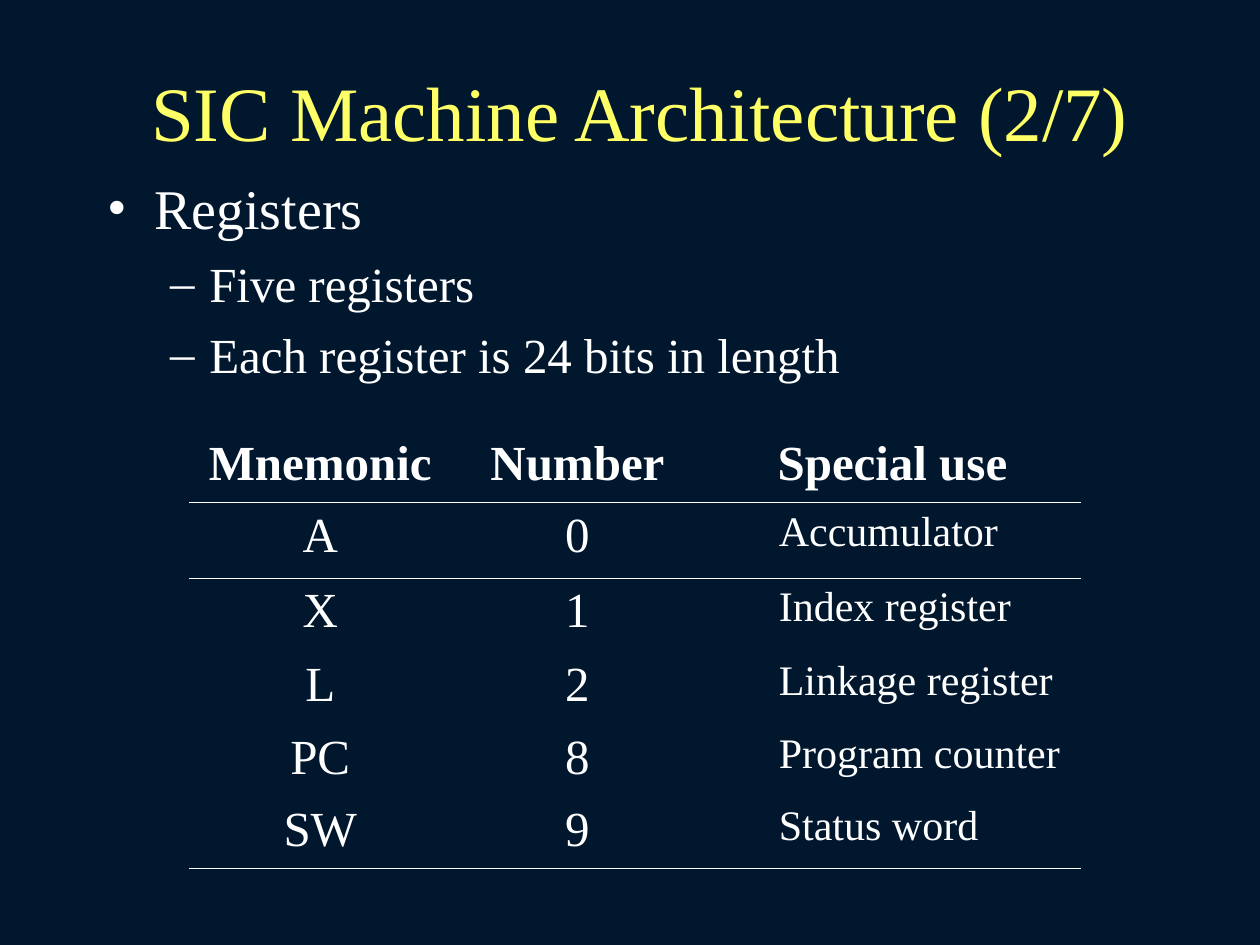
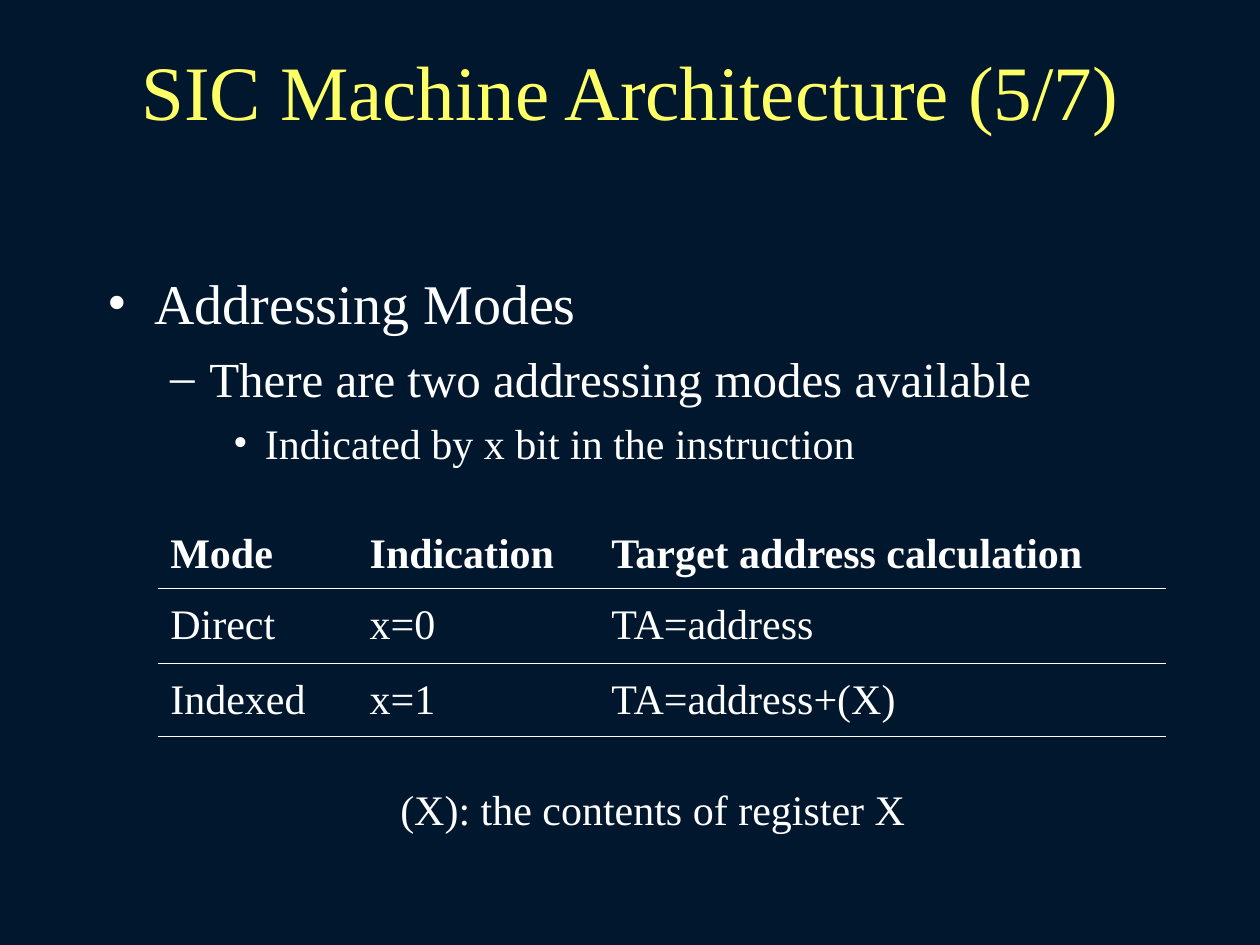
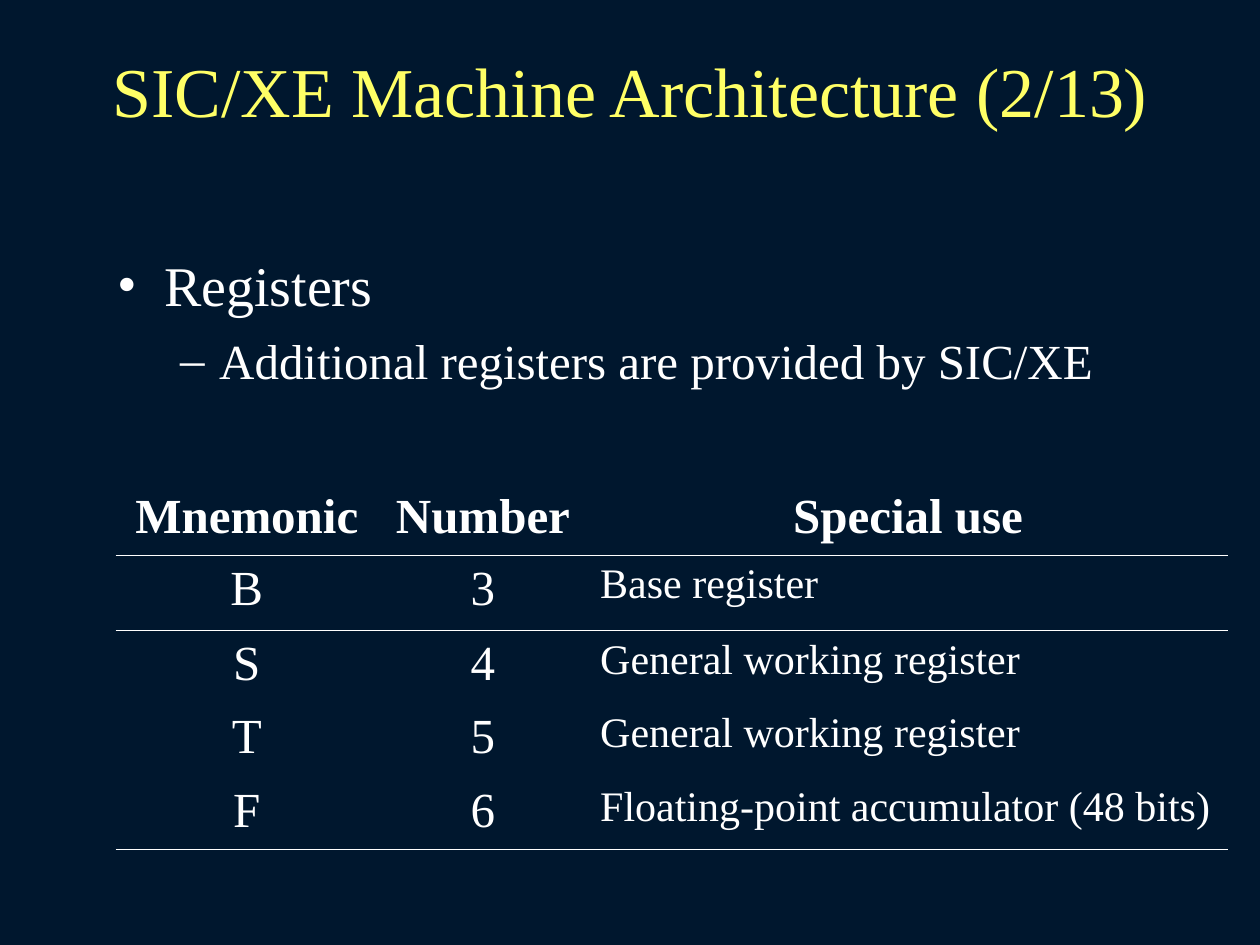
import pptx
import pptx.dml.color
import pptx.enum.text
import pptx.oxml
import pptx.oxml.ns
import pptx.util
from lxml import etree

Cm = pptx.util.Cm
Pt = pptx.util.Pt
ALIGN = pptx.enum.text.PP_ALIGN
ANCHOR = pptx.enum.text.MSO_ANCHOR
qn = pptx.oxml.ns.qn

NAVY, YELLOW, WHITE = "00172E", "FFFF66", "FFFFFF"
FONT = "Times New Roman"
PLAIN_TABLE_STYLE = "{2D5ABB26-0587-4C30-8999-92F81FD0307C}"
RULE_WIDTH = Pt(0.45)

# Per outline level: bullet, text size, space before, left margin, hanging indent
LEVELS = [
    ("•", 32, 8, Cm(0.95), Cm(0.95)),
    ("–", 28, 7, Cm(2.06), Cm(0.79)),
    ("•", 24, 6, Cm(3.18), Cm(0.64)),
]

REGISTER_HEADINGS = ["Mnemonic", "Number", "Special use"]
SLIDES = [
    {
        "title": "SIC Machine Architecture (2/7)",
        "title_size": 44,
        "title_place": (2.11, 0.64, 21.59, 3.18),
        "outline_place": (1.91, 3.38, 21.59, 4.88),
        "outline": [(0, "Registers"), (1, "Five registers"),
                    (1, "Each register is 24 bits in length")],
        "table_corner": (3.81, 8.68),
        "columns": [5.29, 5.08, 7.62],
        "row_heights": [1.45, 1.52, 1.48, 1.48, 1.45, 1.45],
        "rows": [REGISTER_HEADINGS,
                 ["A", "0", "Accumulator"],
                 ["X", "1", "Index register"],
                 ["L", "2", "Linkage register"],
                 ["PC", "8", "Program counter"],
                 ["SW", "9", "Status word"]],
        "use_margin": 1.52,
    },
    {
        "title": "SIC Machine Architecture (5/7)",
        "title_size": 44,
        "title_place": (1.91, 0.64, 21.59, 2.33),
        "outline_place": (1.91, 5.29, 21.59, 4.66),
        "outline": [(0, "Addressing Modes"),
                    (1, "There are two addressing modes available"),
                    (2, "Indicated by x bit in the instruction")],
        "table_corner": (3.18, 10.58),
        "columns": [4.02, 4.87, 11.43],
        "row_heights": [1.27, 1.52, 1.48],
        "rows": [["Mode", "Indication", "Target address calculation"],
                 ["Direct", "x=0", "TA=address"],
                 ["Indexed", "x=1", "TA=address+(X)"]],
        "note": "(X): the contents of register X",
    },
    {
        "title": "SIC/XE Machine Architecture (2/13)",
        "title_size": 40,
        "title_place": (1.91, 0.64, 21.59, 2.33),
        "outline_place": (2.11, 4.93, 21.59, 3.39),
        "outline": [(0, "Registers"),
                    (1, "Additional registers are provided by SIC/XE")],
        "table_corner": (2.33, 9.74),
        "columns": [5.29, 4.23, 12.91],
        "row_heights": [1.45, 1.52, 1.48, 1.48, 1.45],
        "rows": [REGISTER_HEADINGS,
                 ["B", "3", "Base register"],
                 ["S", "4", "General working register"],
                 ["T", "5", "General working register"],
                 ["F", "6", "Floating-point accumulator (48 bits)"]],
        "use_margin": 0.25,
    },
]


def add_span(paragraph, text, color=WHITE, **formats):
    span = paragraph.add_run()
    span.text = text
    span.font.color.rgb = pptx.dml.color.RGBColor.from_string(color)
    for name, value in {"name": FONT, "bold": False, **formats}.items():
        setattr(span.font, name, value)


def add_rule(cell, edge):
    """Draw a thin white line on one edge of a cell: lnT or lnB."""
    line = etree.Element(qn(f"a:{edge}"), w=str(RULE_WIDTH))
    fill = etree.SubElement(line, qn("a:solidFill"))
    etree.SubElement(fill, qn("a:srgbClr"), val=WHITE)
    cell._tc.get_or_add_tcPr().insert(0, line)


deck = pptx.Presentation()
deck.slide_width, deck.slide_height = Cm(25.4), Cm(19.05)
backdrop = deck.slide_master.background.fill
backdrop.solid()
backdrop.fore_color.rgb = pptx.dml.color.RGBColor.from_string(NAVY)

for content in SLIDES:
    slide = deck.slides.add_slide(deck.slide_layouts[5])

    title = slide.shapes.title
    title.left, title.top, title.width, title.height = map(Cm, content["title_place"])
    title.text_frame.vertical_anchor = ANCHOR.MIDDLE
    heading = title.text_frame.paragraphs[0]
    heading.alignment = ALIGN.CENTER
    add_span(heading, content["title"], YELLOW, size=Pt(content["title_size"]))

    outline = slide.shapes.add_textbox(*map(Cm, content["outline_place"])).text_frame
    outline.word_wrap = True
    for index, (level, text) in enumerate(content["outline"]):
        para = outline.add_paragraph() if index else outline.paragraphs[0]
        bullet, size, gap, margin, hanging = LEVELS[level]
        para.level = level
        properties = para._p.get_or_add_pPr()
        properties.set("marL", str(margin))
        properties.set("indent", str(-hanging))
        bullet_color = etree.SubElement(properties, qn("a:buClr"))
        etree.SubElement(bullet_color, qn("a:srgbClr"), val=WHITE)
        etree.SubElement(properties, qn("a:buFont"), typeface=FONT)
        etree.SubElement(properties, qn("a:buChar"), char=bullet)
        if index:
            para.space_before = Pt(gap)
        add_span(para, text, size=Pt(size))

    rows, columns, heights = content["rows"], content["columns"], content["row_heights"]
    frame = slide.shapes.add_table(
        len(rows), len(columns), *map(Cm, content["table_corner"]),
        Cm(sum(columns)), Cm(sum(heights)))
    table = frame.table
    table.first_row = table.horz_banding = False
    table._tbl.tblPr.find(qn("a:tableStyleId")).text = PLAIN_TABLE_STYLE
    for column, width in zip(table.columns, columns):
        column.width = Cm(width)

    lists_registers = rows[0] is REGISTER_HEADINGS
    for r, (row, height) in enumerate(zip(rows, heights)):
        table.rows[r].height = Cm(height)
        for c, text in enumerate(row):
            cell = table.cell(r, c)
            cell.fill.background()
            is_use = lists_registers and r > 0 and c == 2
            centered = lists_registers and not is_use
            para = cell.text_frame.paragraphs[0]
            para.alignment = ALIGN.CENTER if centered else ALIGN.LEFT
            add_span(para, text, size=Pt(28 if centered else 24), bold=r == 0)
            if is_use:
                cell.margin_left = Cm(content["use_margin"])
            if r and not lists_registers:
                cell.vertical_anchor = ANCHOR.MIDDLE
            if r in (0, len(rows) - 1):
                add_rule(cell, "lnB")
            if r == 1:
                add_rule(cell, "lnT")

    if "note" in content:
        note = slide.shapes.add_textbox(Cm(7.82), Cm(15.67), Cm(10.69), Cm(1.27)).text_frame
        note.word_wrap = False
        note.auto_size = pptx.enum.text.MSO_AUTO_SIZE.SHAPE_TO_FIT_TEXT
        add_span(note.paragraphs[0], content["note"], size=Pt(24))

deck.save("out.pptx")
